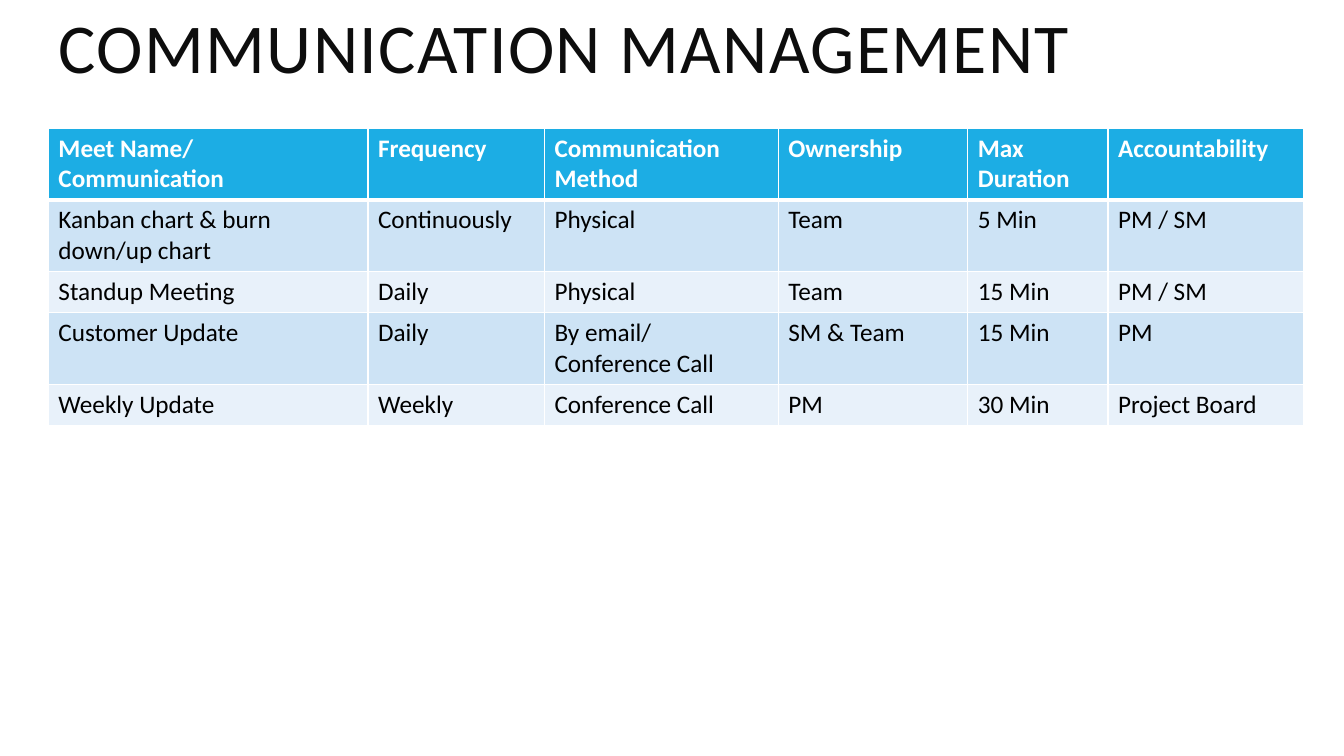
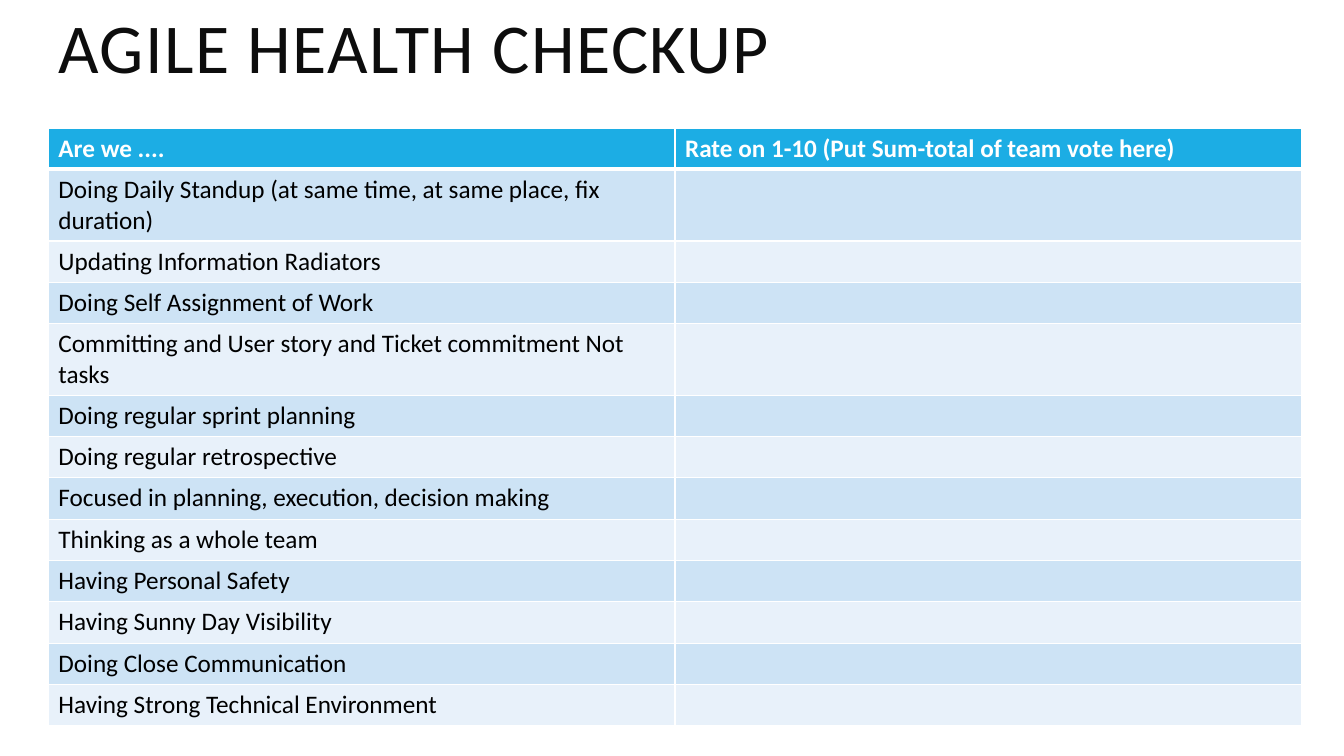
"""Build two agile project slides, each a title above a banded table."""
from dataclasses import dataclass

from lxml import etree
from pptx import Presentation
from pptx.dml.color import RGBColor
from pptx.enum.text import MSO_ANCHOR, MSO_AUTO_SIZE, PP_ALIGN
from pptx.oxml.ns import qn
from pptx.util import Inches, Pt

LEFT = PP_ALIGN.LEFT
MIDDLE = MSO_ANCHOR.MIDDLE
NO_AUTOFIT = MSO_AUTO_SIZE.NONE
TITLE_ONLY = 5


@dataclass(frozen=True)
class Theme:
    """Colours, type sizes and shared measures in inches or points."""
    font: str = "Calibri"
    title_color: str = "0D0D0D"
    header_fill: str = "1CADE4"
    header_text: str = "FFFFFF"
    body_text: str = "000000"
    band_fills: tuple = ("CDE3F5", "E8F1FA")
    border: str = "FFFFFF"
    title_size: int = 50
    title_spacing: int = 1
    table_size: int = 18
    thin: int = 1
    thick: int = 3
    left: float = 0.48
    width: float = 12.43
    title_top: float = 0.06
    title_height: float = 0.94
    table_top: float = 1.27
    row_height: float = 0.41


THEME = Theme()

MEETING_WIDTHS = (3.17, 1.75, 2.32, 1.88, 1.39, 1.94)
MEETINGS = (
    ("Meet Name/ Communication", "Frequency", "Communication Method",
     "Ownership", "Max Duration", "Accountability"),
    ("Kanban chart & burn down/up chart", "Continuously", "Physical",
     "Team", "5 Min", "PM / SM"),
    ("Standup Meeting", "Daily", "Physical", "Team", "15 Min", "PM / SM"),
    ("Customer Update", "Daily", "By email/ Conference Call",
     "SM & Team", "15 Min", "PM"),
    ("Weekly Update", "Weekly", "Conference Call", "PM", "30 Min",
     "Project Board"),
)

CHECKUP_WIDTHS = (THEME.width / 2,) * 2
CHECKUP_HEADER = ("Are we ....",
                  "Rate on 1-10 (Put Sum-total of team vote here)")
CHECKUP_QUESTIONS = (
    "Doing Daily Standup (at same time, at same place, fix duration)",
    "Updating Information Radiators",
    "Doing Self Assignment of Work",
    "Committing and User story and Ticket commitment Not tasks",
    "Doing regular sprint planning",
    "Doing regular retrospective",
    "Focused in planning, execution, decision making",
    "Thinking as a whole team",
    "Having Personal Safety",
    "Having Sunny Day Visibility",
    "Doing Close Communication",
    "Having Strong Technical Environment",
)


def style_font(font, size, color, bold=False):
    """Apply the theme typeface with a size, colour and weight."""
    font.name = THEME.font
    font.size = Pt(size)
    font.bold = bold
    font.color.rgb = RGBColor.from_string(color)


def add_page(deck, title):
    """Add a slide with the shared title style."""
    page = deck.slides.add_slide(deck.slide_layouts[TITLE_ONLY])
    box = page.shapes.title
    box.left, box.top = Inches(THEME.left), Inches(THEME.title_top)
    box.width, box.height = Inches(THEME.width), Inches(THEME.title_height)
    frame = box.text_frame
    frame.text = title
    frame.word_wrap = True
    frame.auto_size = NO_AUTOFIT
    frame.vertical_anchor = MIDDLE
    para = frame.paragraphs[0]
    para.alignment = LEFT
    para.line_spacing = 0.8
    style_font(para.font, THEME.title_size, THEME.title_color)
    span = para.runs[0]
    span._r.get_or_add_rPr().set("spc", str(THEME.title_spacing * 100))
    return page


def set_borders(cell, top, bottom):
    """Draw the cell's four borders, thin at the sides."""
    properties = cell._tc.get_or_add_tcPr()
    sides = {"lnL": THEME.thin, "lnR": THEME.thin, "lnT": top, "lnB": bottom}
    for tag, width in sides.items():
        line = etree.SubElement(properties, qn(f"a:{tag}"), w=str(Pt(width)))
        fill = etree.SubElement(line, qn("a:solidFill"))
        etree.SubElement(fill, qn("a:srgbClr"), val=THEME.border)


def fill_cell(cell, text, row_index):
    """Write and format one cell according to its row."""
    header = row_index == 0
    set_borders(cell,
                top=THEME.thick if row_index == 1 else THEME.thin,
                bottom=THEME.thick if header else THEME.thin)
    bands = THEME.band_fills
    color = THEME.header_fill if header else bands[(row_index - 1) % len(bands)]
    cell.fill.solid()
    cell.fill.fore_color.rgb = RGBColor.from_string(color)
    cell.text = text
    style_font(cell.text_frame.paragraphs[0].font, THEME.table_size,
               THEME.header_text if header else THEME.body_text, header)


def add_grid(page, rows, widths):
    """Add a table with a header row and alternating body bands."""
    frame = page.shapes.add_table(
        len(rows), len(widths), Inches(THEME.left), Inches(THEME.table_top),
        Inches(THEME.width), Inches(THEME.row_height * len(rows)))
    table = frame.table
    for column, width in zip(table.columns, widths):
        column.width = Inches(width)
    for row_index, texts in enumerate(rows):
        table.rows[row_index].height = Inches(THEME.row_height)
        for column_index, text in enumerate(texts):
            fill_cell(table.cell(row_index, column_index), text, row_index)


def main():
    """Build and save the deck."""
    deck = Presentation()
    deck.slide_width, deck.slide_height = Inches(13.33), Inches(7.5)
    checkup = (CHECKUP_HEADER, *((question, "") for question in CHECKUP_QUESTIONS))
    for title, rows, widths in (
            ("COMMUNICATION MANAGEMENT", MEETINGS, MEETING_WIDTHS),
            ("AGILE HEALTH CHECKUP", checkup, CHECKUP_WIDTHS)):
        add_grid(add_page(deck, title), rows, widths)
    deck.save("out.pptx")


if __name__ == "__main__":
    main()
